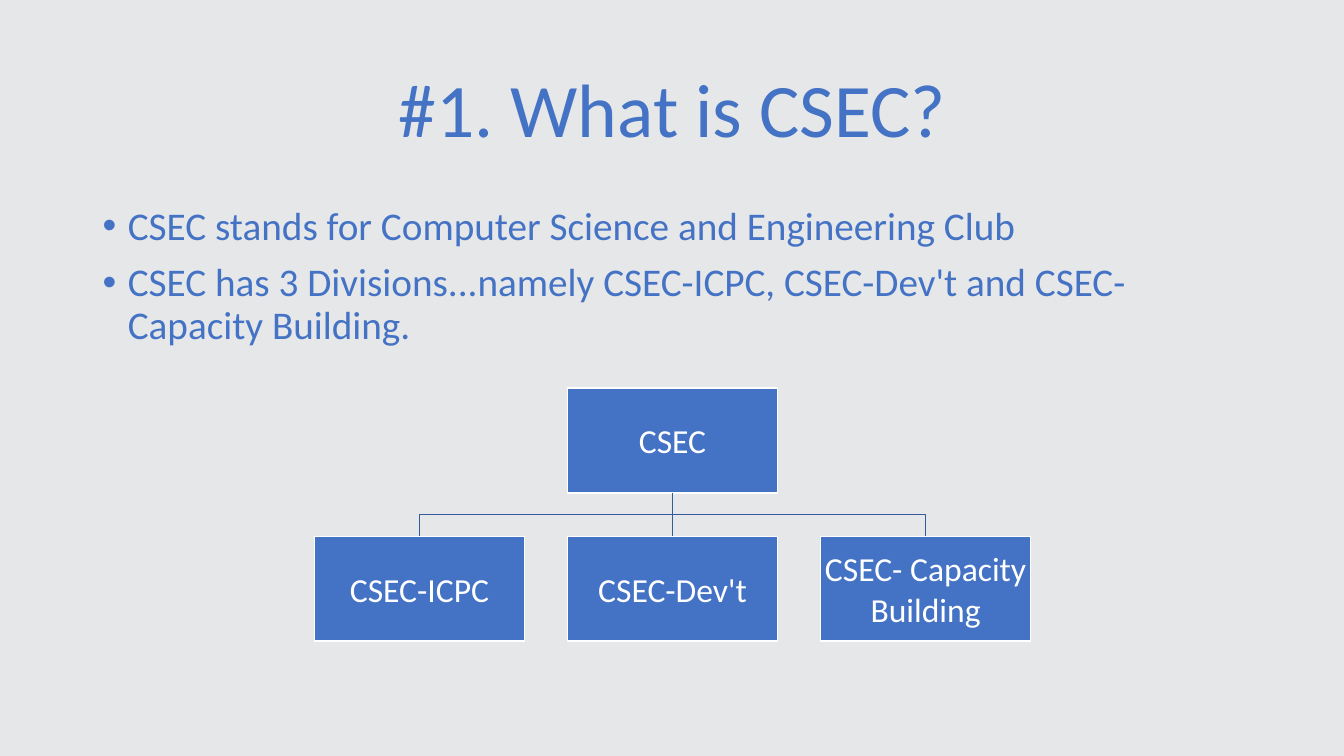
"""Build the slide that introduces CSEC and its three divisions."""
import pptx
import pptx.dml.color
import pptx.enum.shapes
import pptx.enum.text
import pptx.oxml.ns
import pptx.util
from lxml import etree

Inches, Pt = pptx.util.Inches, pptx.util.Pt
ALIGN, ANCHOR = pptx.enum.text.PP_ALIGN, pptx.enum.text.MSO_ANCHOR
SHAPE = pptx.enum.shapes.MSO_SHAPE

TITLE = "#1. What is CSEC?"
BULLETS = [
    "CSEC stands for Computer Science and Engineering Club",
    "CSEC has 3 Divisions...namely CSEC-ICPC, CSEC-Dev't and CSEC-Capacity Building.",
]
CLUB = "CSEC"
DIVISIONS = ["CSEC-ICPC", "CSEC-Dev't", "CSEC- Capacity Building"]
BLUE, DARK, WHITE, GREY = "4472C4", "365B9D", "FFFFFF", "E6E7E9"

SLIDE_W, SLIDE_H = 13.33, 7.5
LEFT, TEXT_W = 0.92, 11.5
CENTER = 6.67
BOX_W, BOX_H = 2.08, 1.04
PITCH = 2.51
CLUB_TOP, DIVISION_TOP = 3.85, 5.32


def rgb(value):
    """Return a colour from its hex string."""
    return pptx.dml.color.RGBColor.from_string(value)


def place(sp, x, y, w, h):
    """Move and size a shape in inches."""
    sp.left, sp.top, sp.width, sp.height = map(Inches, (x, y, w, h))


def write(p, text, size, color=BLUE, align=ALIGN.LEFT, spacing=1.0, before=0, bullet=False):
    """Put formatted text in a paragraph."""
    if bullet:
        pPr = p._p.get_or_add_pPr()
        pPr.set("marL", str(Inches(0.25)))
        pPr.set("indent", str(-Inches(0.25)))
        font = etree.SubElement(pPr, pptx.oxml.ns.qn("a:buFont"))
        font.set("typeface", "Arial")
        etree.SubElement(pPr, pptx.oxml.ns.qn("a:buChar")).set("char", "•")
    p.alignment, p.line_spacing, p.space_before = align, spacing, Pt(before)
    r = p.add_run()
    r.text = text
    r.font.name, r.font.size, r.font.color.rgb = "Calibri", Pt(size), rgb(color)


def add_box(s, text, center, top):
    """Add one box of the chart."""
    sp = s.shapes.add_shape(SHAPE.RECTANGLE, 0, 0, 0, 0)
    place(sp, center - BOX_W / 2, top, BOX_W, BOX_H)
    sp.shadow.inherit = False
    sp.fill.solid()
    sp.fill.fore_color.rgb = rgb(BLUE)
    sp.line.color.rgb, sp.line.width = rgb(WHITE), Pt(1)
    tf = sp.text_frame
    tf.word_wrap, tf.vertical_anchor = True, ANCHOR.MIDDLE
    tf.margin_left = tf.margin_right = tf.margin_top = tf.margin_bottom = Inches(0.02)
    write(tf.paragraphs[0], text, 24, WHITE, ALIGN.CENTER)
    return sp


def add_branch(s, center):
    """Add a bent line from the club down to a division."""
    start = CLUB_TOP + BOX_H
    middle = (start + DIVISION_TOP) / 2
    fb = s.shapes.build_freeform(Inches(CENTER), Inches(start))
    bends = [(CENTER, middle), (center, middle), (center, DIVISION_TOP)]
    fb.add_line_segments([(Inches(x), Inches(y)) for x, y in bends], close=False)
    sp = fb.convert_to_shape()
    sp.shadow.inherit = False
    sp.fill.background()
    sp.line.color.rgb, sp.line.width = rgb(DARK), Pt(1)


def add_stem(s, upper, lower):
    """Join two boxes with a straight line."""
    cx = s.shapes.add_connector(pptx.enum.shapes.MSO_CONNECTOR.STRAIGHT, 0, 0, 0, 0)
    cx.begin_connect(upper, 2)
    cx.end_connect(lower, 0)
    cx.line.color.rgb, cx.line.width = rgb(DARK), Pt(1)
    etree.SubElement(cx._element.spPr, pptx.oxml.ns.qn("a:effectLst"))


def main():
    """Build and save the slide."""
    prs = pptx.Presentation()
    prs.slide_width, prs.slide_height = Inches(SLIDE_W), Inches(SLIDE_H)
    s = prs.slides.add_slide(prs.slide_layouts[5])
    s.background.fill.solid()
    s.background.fill.fore_color.rgb = rgb(GREY)

    title = s.shapes.title
    place(title, LEFT, 0.4, TEXT_W, 1.45)
    tf = title.text_frame
    tf.auto_size, tf.vertical_anchor = pptx.enum.text.MSO_AUTO_SIZE.NONE, ANCHOR.MIDDLE
    write(tf.paragraphs[0], TITLE, 54, align=ALIGN.CENTER, spacing=0.9)

    body = s.shapes.add_textbox(0, 0, 0, 0)
    place(body, LEFT, 2, TEXT_W, 4.76)
    tf = body.text_frame
    tf.word_wrap = True
    for i, text in enumerate(BULLETS):
        p = tf.add_paragraph() if i else tf.paragraphs[0]
        write(p, text, 28, spacing=0.9, before=10 if i else 0, bullet=True)

    centers = [CENTER + (i - 1) * PITCH for i in range(len(DIVISIONS))]
    for center in (centers[0], centers[-1]):
        add_branch(s, center)
    club = add_box(s, CLUB, CENTER, CLUB_TOP)
    boxes = [add_box(s, text, x, DIVISION_TOP) for text, x in zip(DIVISIONS, centers)]
    add_stem(s, club, boxes[1])
    prs.save("out.pptx")


if __name__ == "__main__":
    main()
